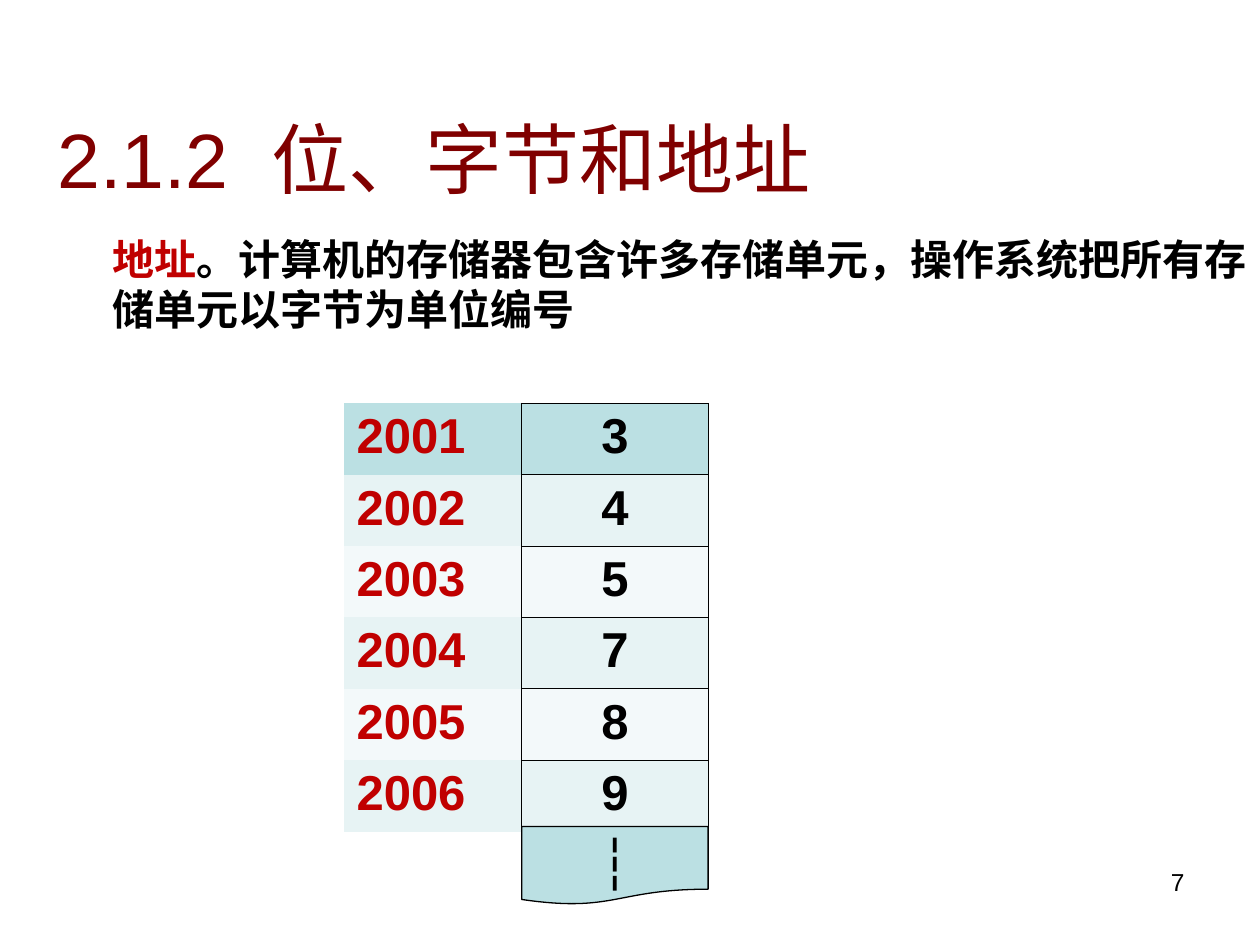
from pptx import Presentation, util as u
from pptx.dml.color import RGBColor
from pptx.enum import shapes as sh, text as t
from pptx.oxml import parse_xml
from pptx.oxml.ns import nsdecls

RED = RGBColor(0xC0, 0, 0)
MAROON = RGBColor(0x80, 0, 0)
BLACK = RGBColor(0, 0, 0)
TEAL = RGBColor(0xBB, 0xE0, 0xE3)
BANDS = [RGBColor(0xF3, 0xF9, 0xFA), RGBColor(0xE7, 0xF3, 0xF4)]

TITLE = ["2.1.2", " ", "位、字节和地址"]
BODY = [("地址", RED), ("。计算机的存储器包含许多存储单元，操作系统把所有存储单元以字节为单位编号", BLACK)]
CELLS = [("2001", "3"), ("2002", "4"), ("2003", "5"),
         ("2004", "7"), ("2005", "8"), ("2006", "9")]
PAGE = "7"
TOP, WIDE, HIGH = 3.2, 1.48, 3.4
LEFT, RIGHT = 2.73, 4.14


def box(*nums):
    return [u.Inches(n) for n in nums]


def place(shape, *nums):
    shape.left, shape.top, shape.width, shape.height = box(*nums)
    shape.text_frame.auto_size = t.MSO_AUTO_SIZE.NONE


def style(para, size, color=None, bold=False, align=t.PP_ALIGN.LEFT):
    para.alignment = align
    font = para.font
    font.name, font.size, font.bold = "Arial", u.Pt(size), bold
    if color is not None:
        font.color.rgb = color


def border(cell, shown):
    fill = '<a:solidFill><a:srgbClr val="000000"/></a:solidFill>' if shown else "<a:noFill/>"
    for side in "LRTB":
        cell._tc.get_or_add_tcPr().append(parse_xml(
            f'<a:ln{side} {nsdecls("a")} w="{u.Pt(0.45)}">{fill}</a:ln{side}>'))


def column(slide, left, words, color, align, lined):
    table = slide.shapes.add_table(len(words), 1, *box(left, TOP, WIDE, HIGH)).table
    table.first_row = table.horz_banding = False
    for row, word in enumerate(words):
        cell = table.cell(row, 0)
        border(cell, lined)
        cell.fill.solid()
        cell.fill.fore_color.rgb = BANDS[row % 2] if row else TEAL
        cell.text = word
        style(cell.text_frame.paragraphs[0], 28, color, True, align)


def main():
    deck = Presentation()
    deck.slide_width, deck.slide_height = box(10, 7.5)
    slide = deck.slides.add_slide(deck.slide_layouts[1])
    title, body = slide.placeholders

    place(title, 0, 0.84, 6.89, 0.83)
    title.text_frame.vertical_anchor = t.MSO_ANCHOR.MIDDLE
    para = title.text_frame.paragraphs[0]
    for part in TITLE:
        run = para.add_run()
        run.text = part
        if part == " ":
            run._r.get_or_add_rPr().set("spc", "1200")
    style(para, 44, MAROON, align=t.PP_ALIGN.CENTER)

    place(body, 0.79, 1.8, 9.21, 1.5)
    para = body.text_frame.paragraphs[0]
    props = para._p.get_or_add_pPr()
    props.set("marL", "0")
    props.set("indent", "0")
    props.append(parse_xml(f'<a:buNone {nsdecls("a")}/>'))
    para.space_before = u.Pt(0)
    for part, color in BODY:
        run = para.add_run()
        run.text = part
        run.font.color.rgb = color
    style(para, 24, bold=True)

    places, values = zip(*CELLS)
    column(slide, LEFT, places, RED, t.PP_ALIGN.LEFT, False)
    column(slide, RIGHT, values, BLACK, t.PP_ALIGN.CENTER, True)

    more = slide.shapes.add_shape(sh.MSO_SHAPE.FLOWCHART_DOCUMENT, *box(RIGHT, 6.56, WIDE, 0.62))
    more.shadow.inherit = False
    more.fill.solid()
    more.fill.fore_color.rgb = TEAL
    more.line.color.rgb = BLACK
    more.line.width = u.Pt(0.75)
    more.text_frame.text = "┆"
    more.text_frame.word_wrap = False
    more.text_frame.vertical_anchor = t.MSO_ANCHOR.TOP
    style(more.text_frame.paragraphs[0], 28, BLACK, True, t.PP_ALIGN.CENTER)

    page = slide.shapes.add_textbox(*box(7.17, 6.83, 2.33, 0.52))
    page.text_frame.text = PAGE
    page.text_frame.word_wrap = True
    style(page.text_frame.paragraphs[0], 14, BLACK, align=t.PP_ALIGN.RIGHT)

    deck.save("out.pptx")


if __name__ == "__main__":
    main()
